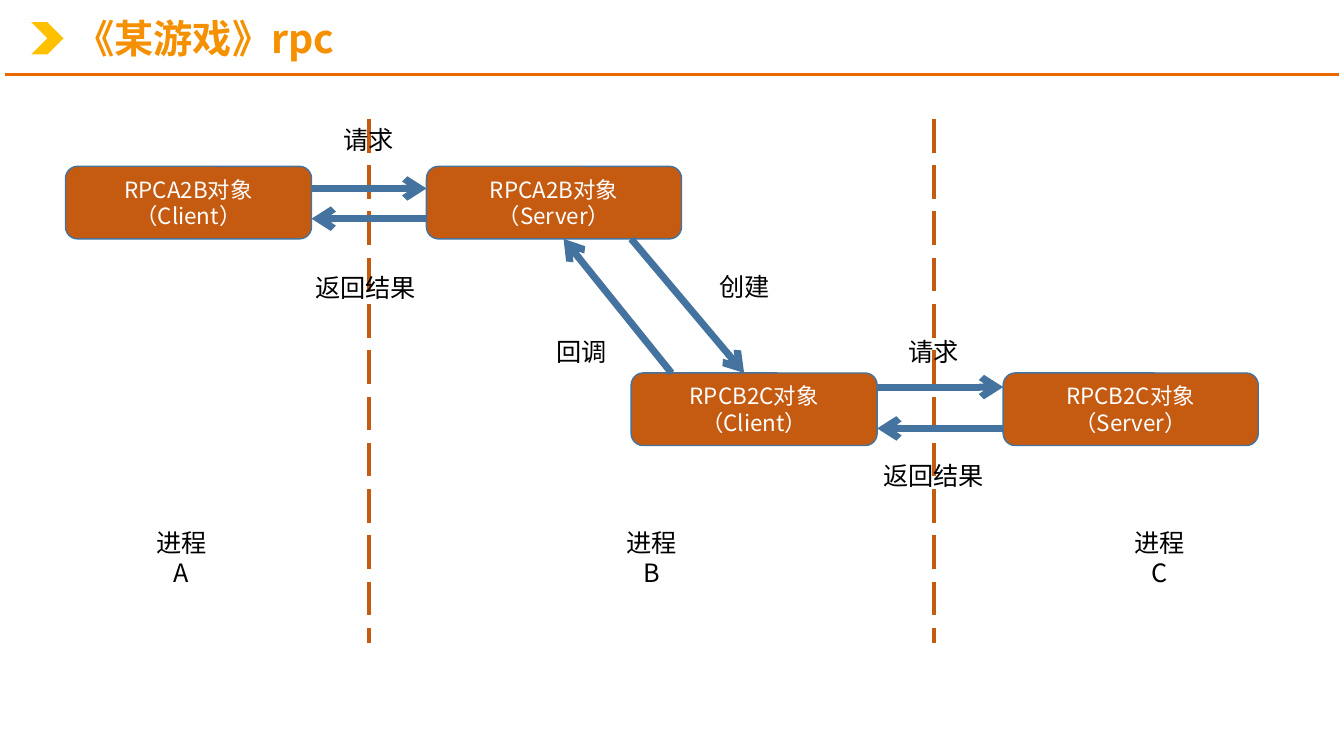
import pptx
import pptx.util
from pptx.dml.color import RGBColor
from pptx.enum.dml import MSO_LINE
from pptx.enum.shapes import MSO_CONNECTOR, MSO_SHAPE
from pptx.enum.text import MSO_ANCHOR, PP_ALIGN
from pptx.oxml.ns import qn
from lxml import etree

WHITE = RGBColor(0xFF, 0xFF, 0xFF)
BLACK = RGBColor(0x00, 0x00, 0x00)
YELLOW = RGBColor(0xFF, 0xC0, 0x00)
TITLE_ORANGE = RGBColor(0xF5, 0x90, 0x00)
RULE_ORANGE = RGBColor(0xEC, 0x69, 0x01)
RUST = RGBColor(0xC5, 0x5A, 0x11)
BLUE = RGBColor(0x43, 0x73, 0x9E)


class Diagram:
    CJK = "Noto Sans CJK SC"
    LATIN = "Calibri"
    SCALE = 9144  # EMU per px, 100 px to the inch

    def __init__(self, slide):
        self.slide = slide

    def px(self, *lengths):
        return [pptx.util.Emu(n * self.SCALE) for n in lengths]

    def set_text(self, sp, text, size, color, font, align, bold=False):
        p = sp.text_frame.paragraphs[0]
        p.text = text
        p.alignment = align
        p.font.size = pptx.util.Pt(size)
        p.font.bold = bold
        p.font.color.rgb = color
        p.font.name = font
        # East Asian typeface
        props = p._p.pPr.find(qn("a:defRPr"))
        etree.SubElement(props, qn("a:ea")).set("typeface", self.CJK)
        return p

    def shape(self, kind, box, fill, line=None):
        sp = self.slide.shapes.add_shape(kind, *self.px(*box))
        sp.shadow.inherit = False
        sp.fill.solid()
        sp.fill.fore_color.rgb = fill
        if line is None:
            sp.line.fill.background()
        else:
            sp.line.color.rgb = line
            sp.line.width = pptx.util.Pt(1)
        return sp

    def node(self, x, y, w, text):
        sp = self.shape(MSO_SHAPE.ROUNDED_RECTANGLE, (x, y, w, 72), RUST, BLUE)
        sp.text_frame.word_wrap = True
        sp.text_frame.vertical_anchor = MSO_ANCHOR.MIDDLE
        self.set_text(sp, text, 16, WHITE, self.CJK, PP_ALIGN.CENTER)

    def text_box(self, box, wrap):
        sp = self.slide.shapes.add_textbox(*self.px(*box))
        sp.text_frame.word_wrap = wrap
        return sp

    def title(self, text):
        sp = self.text_box((65, 9, 561, 63), True)
        sp.text_frame.vertical_anchor = MSO_ANCHOR.MIDDLE
        p = self.set_text(sp, text, 28, TITLE_ORANGE, self.CJK, PP_ALIGN.LEFT, True)
        p.line_spacing = 0.9

    def label(self, x, y, w, text):
        sp = self.text_box((x, y, w, 40), False)
        self.set_text(sp, text, 18, BLACK, self.LATIN, PP_ALIGN.LEFT)

    def process(self, center, text):
        sp = self.text_box((center - 40, 518, 80, 40), True)
        self.set_text(sp, text, 18, BLACK, self.CJK, PP_ALIGN.CENTER)

    def line(self, ends, color, width, dash=None, arrow=False):
        c = self.slide.shapes.add_connector(MSO_CONNECTOR.STRAIGHT, *self.px(*ends))
        c.line.color.rgb = color
        c.line.width = pptx.util.Pt(width)
        if dash is not None:
            c.line.dash_style = dash
        props = c._element.spPr
        if arrow:
            etree.SubElement(props.find(qn("a:ln")), qn("a:tailEnd")).set("type", "arrow")
        etree.SubElement(props, qn("a:effectLst"))


def main():
    prs = pptx.Presentation()
    prs.slide_width = pptx.util.Inches(13.33)
    prs.slide_height = pptx.util.Inches(7.5)
    d = Diagram(prs.slides.add_slide(prs.slide_layouts[6]))

    # Header
    d.line((5, 74, 1328, 74), RULE_ORANGE, 2)
    for x, color in ((31, YELLOW), (51, WHITE)):
        d.shape(MSO_SHAPE.CHEVRON, (x, 22, 32, 32), color)
    d.title("《某游戏》rpc")

    # Process borders and names
    for x in (366, 926):
        d.line((x, 118, x, 638), RUST, 3, dash=MSO_LINE.LONG_DASH)
    for center, name in ((180, "A"), (646, "B"), (1150, "C")):
        d.process(center, "进程" + name)

    # RPC objects
    for client_x, server_x, y, name in ((65, 423, 165, "RPCA2B"), (626, 995, 370, "RPCB2C")):
        d.node(client_x, y, 244, name + "对象（Client）")
        d.node(server_x, y, 253, name + "对象（Server）")

    # Calls between objects
    for ends in (
        (309, 187, 423, 187),
        (423, 217, 309, 217),
        (626, 237, 738, 370),
        (666, 370, 559, 237),
        (870, 384, 995, 384),
        (995, 425, 870, 425),
    ):
        d.line(ends, BLUE, 5, arrow=True)

    # Call labels
    for x, y, w, text in (
        (331, 118, 70, "请求"),
        (303, 265, 120, "返回结果"),
        (704, 264, 70, "创建"),
        (542, 329, 70, "回调"),
        (891, 329, 70, "请求"),
        (866, 452, 120, "返回结果"),
    ):
        d.label(x, y, w, text)

    prs.save("out.pptx")


if __name__ == "__main__":
    main()
